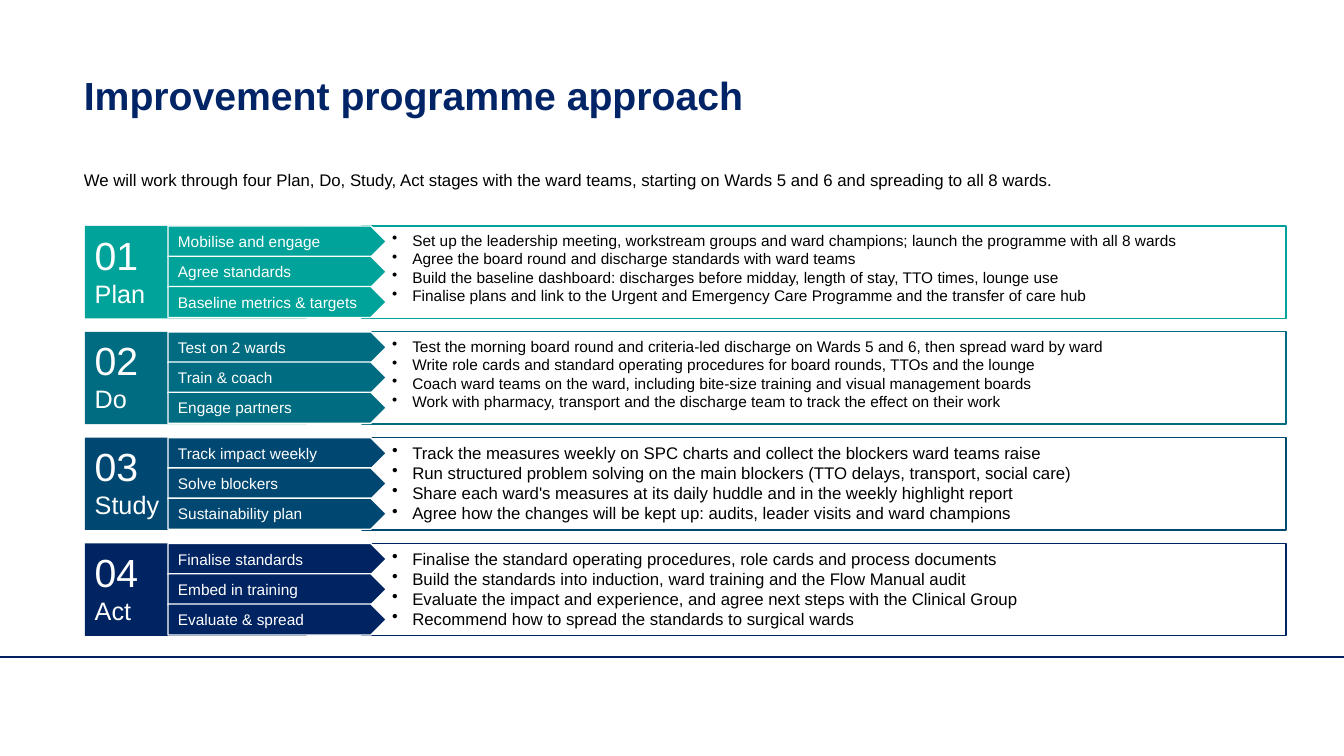
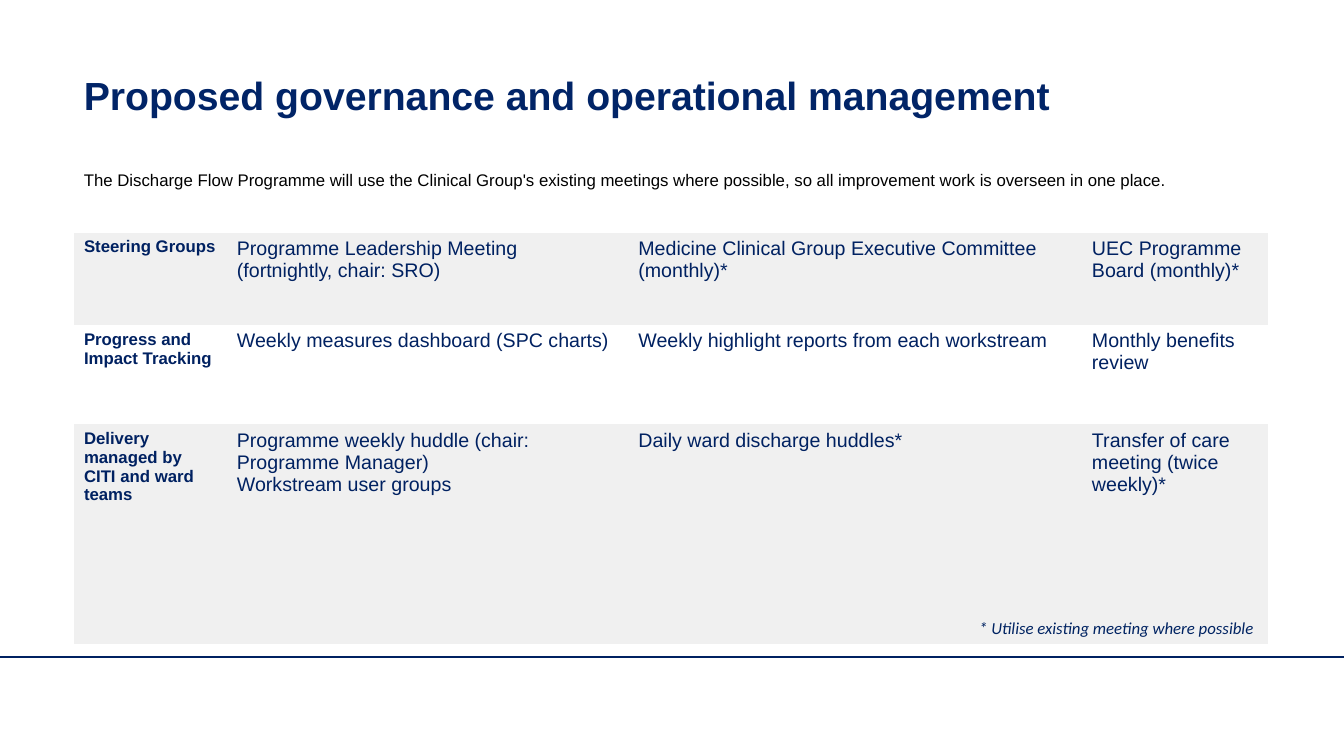
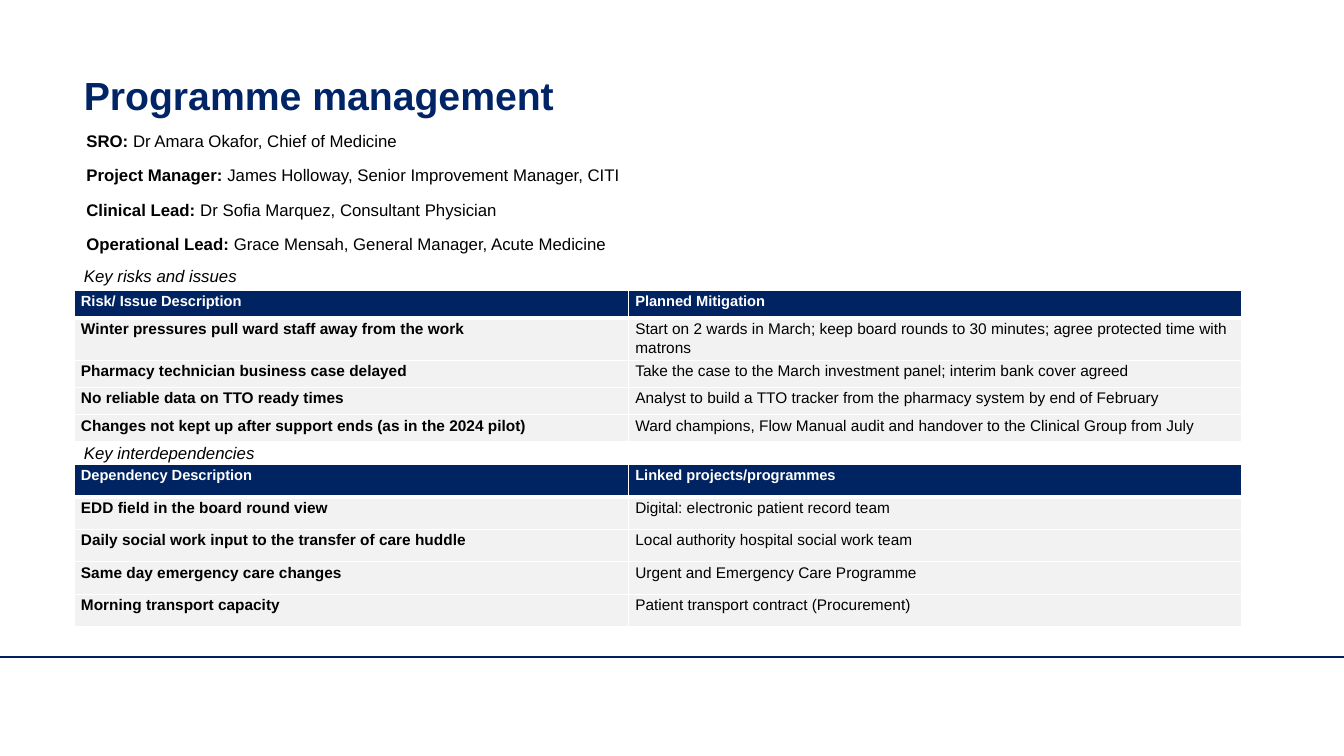
"""Three slides on a ward discharge programme: approach, governance and management."""
from lxml.etree import SubElement
from pptx import Presentation
from pptx.dml.color import RGBColor
from pptx.enum.shapes import MSO_CONNECTOR, MSO_SHAPE
from pptx.enum.text import MSO_ANCHOR, PP_ALIGN
from pptx.oxml.ns import qn
from pptx.util import Emu, Inches, Pt

unit = Inches(1) // 12
wide, high = 160, 90
left, span = 8.8, 142.2
navy, rule, ink = "002362", "002161", "012467"
white, black, mist, pale = "FFFFFF", "000000", "F0F0F0", "F2F2F2"


def paint(fill, tone):
    fill.solid()
    fill.fore_color.rgb = RGBColor.from_string(tone)


def write(frame, text, lead="", size=12, tone=black, face="Arial", bold=False,
          slant=False, gap=0, lines=None, align=PP_ALIGN.LEFT, dot=False):
    first = not frame.text
    para = frame.paragraphs[0] if first else frame.add_paragraph()
    para.alignment = align
    if lines:
        para.line_spacing = lines
    if gap:
        para.space_after = Pt(gap)
        if not first:
            para.space_before = Pt(gap)
    if dot:
        props = para._p.get_or_add_pPr()
        props.set("marL", str(Inches(0.4)))
        props.set("indent", str(Inches(-0.2)))
        SubElement(props, qn("a:buChar")).set("char", "•")
    for part, heavy in ((lead, True), (text, bold)):
        if part:
            run = para.add_run()
            run.text = part
            run.font.name, run.font.size = face, Pt(size)
            run.font.bold, run.font.italic = heavy, slant
            paint(run.font.fill, tone)


deck = Presentation()
deck.slide_width, deck.slide_height = wide * unit, high * unit

pages = []
for title in ("Improvement programme approach",
              "Proposed governance and operational management",
              "Programme management"):
    page = deck.slides.add_slide(deck.slide_layouts[6])
    pages.append(page)
    base = Emu(78.2 * unit)
    line = page.shapes.add_connector(MSO_CONNECTOR.STRAIGHT, 0, base, deck.slide_width, base)
    paint(line.line.fill, rule)
    line.line.width = Pt(1.5)
    SubElement(line.element.spPr, qn("a:effectLst"))
    area = (left, 4, span, 15.4)
    frame = page.shapes.add_textbox(*[Emu(v * unit) for v in area]).text_frame
    frame.word_wrap = True
    frame.vertical_anchor = MSO_ANCHOR.MIDDLE
    write(frame, title, size=28, tone=ink, bold=True, lines=0.9)
plan, board, team = pages

stages = [
    ("Plan", "00A399", 11,
     ["Mobilise and engage", "Agree standards", "Baseline metrics & targets"],
     ["Set up the leadership meeting, workstream groups and ward champions; launch the programme with all 8 wards",
      "Agree the board round and discharge standards with ward teams",
      "Build the baseline dashboard: discharges before midday, length of stay, TTO times, lounge use",
      "Finalise plans and link to the Urgent and Emergency Care Programme and the transfer of care hub"]),
    ("Do", "006C81", 11,
     ["Test on 2 wards", "Train & coach", "Engage partners"],
     ["Test the morning board round and criteria-led discharge on Wards 5 and 6, then spread ward by ward",
      "Write role cards and standard operating procedures for board rounds, TTOs and the lounge",
      "Coach ward teams on the ward, including bite-size training and visual management boards",
      "Work with pharmacy, transport and the discharge team to track the effect on their work"]),
    ("Study", "004871", 12,
     ["Track impact weekly", "Solve blockers", "Sustainability plan"],
     ["Track the measures weekly on SPC charts and collect the blockers ward teams raise",
      "Run structured problem solving on the main blockers (TTO delays, transport, social care)",
      "Share each ward's measures at its daily huddle and in the weekly highlight report",
      "Agree how the changes will be kept up: audits, leader visits and ward champions"]),
    ("Act", navy, 12,
     ["Finalise standards", "Embed in training", "Evaluate & spread"],
     ["Finalise the standard operating procedures, role cards and process documents",
      "Build the standards into induction, ward training and the Flow Manual audit",
      "Evaluate the impact and experience, and agree next steps with the Clinical Group",
      "Recommend how to spread the standards to surgical wards"]),
]
for i, (name, tone, size, steps, tasks) in enumerate(stages):
    top = 26.9 + 12.6 * i
    head = [(f"{i + 1:02}", dict(size=28, tone=white)), (name, dict(size=18, tone=white))]
    parts = [
        (MSO_SHAPE.RECTANGLE, (43.1, top, 110, 11), white, tone, MSO_ANCHOR.TOP,
         [(task, dict(size=size, dot=True)) for task in tasks]),
        (MSO_SHAPE.RECTANGLE, (10.1, top, 26.4, 11), tone, None, MSO_ANCHOR.TOP, head),
    ]
    for j, step in enumerate(steps):
        parts.append((MSO_SHAPE.PENTAGON, (20, top + 3.6 * j, 26, 3.7), tone, white,
                      MSO_ANCHOR.MIDDLE, [(step, dict(size=11, tone=white))]))
    for kind, area, fill, edge, hold, texts in parts:
        shape = plan.shapes.add_shape(kind, *[Emu(v * unit) for v in area])
        shape.shadow.inherit = False
        paint(shape.fill, fill)
        if edge:
            paint(shape.line.fill, edge)
            shape.line.width = Pt(1)
        else:
            shape.line.fill.background()
        shape.text_frame.word_wrap = True
        shape.text_frame.vertical_anchor = hold
        for text, style in texts:
            write(shape.text_frame, text, **style)

groups = [
    ["Steering Groups", "Programme Leadership Meeting (fortnightly, chair: SRO)",
     "Medicine Clinical Group Executive Committee (monthly)*", "UEC Programme Board (monthly)*"],
    ["Progress and Impact Tracking", "Weekly measures dashboard (SPC charts)",
     "Weekly highlight reports from each workstream", "Monthly benefits review"],
    ["Delivery\nmanaged by CITI and ward teams",
     "Programme weekly huddle (chair: Programme Manager)\nWorkstream user groups",
     "Daily ward discharge huddles*", "Transfer of care meeting (twice weekly)*"],
]
risks = [
    ["Risk/ Issue Description", "Planned Mitigation"],
    ["Winter pressures pull ward staff away from the work",
     "Start on 2 wards in March; keep board rounds to 30 minutes; agree protected time with matrons"],
    ["Pharmacy technician business case delayed",
     "Take the case to the March investment panel; interim bank cover agreed"],
    ["No reliable data on TTO ready times",
     "Analyst to build a TTO tracker from the pharmacy system by end of February"],
    ["Changes not kept up after support ends (as in the 2024 pilot)",
     "Ward champions, Flow Manual audit and handover to the Clinical Group from July"],
]
links = [
    ["Dependency Description", "Linked projects/programmes"],
    ["EDD field in the board round view", "Digital: electronic patient record team"],
    ["Daily social work input to the transfer of care huddle",
     "Local authority hospital social work team"],
    ["Same day emergency care changes", "Urgent and Emergency Care Programme"],
    ["Morning transport capacity", "Patient transport contract (Procurement)"],
]
halves = [66, 73]
tables = [
    (board, 27.7, [18.2, 47.8, 54, 22.2], [11, 11.8, 26.2], groups, False),
    (team, 34.6, halves, [3.24] * 5, risks, True),
    (team, 55.3, halves, [3.86] * 5, links, True),
]
for page, top, cols, rows, data, ruled in tables:
    area = (left, top, sum(cols), sum(rows))
    grid = page.shapes.add_table(len(rows), len(cols), *[Emu(v * unit) for v in area]).table
    grid.first_row = grid.horz_banding = False
    for col, size in zip(grid.columns, cols):
        col.width = Emu(size * unit)
    for r, (row, size) in enumerate(zip(grid.rows, rows)):
        row.height = Emu(size * unit)
        for c, cell in enumerate(row.cells):
            head = ruled and r == 0
            props = cell._tc.get_or_add_tcPr()
            for side in "LRTB":
                thick = (side, r) in (("B", 0), ("T", 1))
                edge = SubElement(props, qn("a:ln" + side))
                if ruled:
                    edge.set("w", str(Pt(3 if thick else 1)))
                    tint = SubElement(SubElement(edge, qn("a:solidFill")), qn("a:srgbClr"))
                    tint.set("val", white)
                else:
                    SubElement(edge, qn("a:noFill"))
            if ruled:
                paint(cell.fill, navy if head else pale)
                cell.margin_left = cell.margin_right = Inches(0.07)
                cell.margin_top = cell.margin_bottom = 0
                style = dict(size=10.5 if head else 11, tone=white if head else black, lines=1.15)
            else:
                paint(cell.fill, white if r % 2 else mist)
                style = dict(size=14 if c else 12, tone=rule)
            for text in data[r][c].split("\n"):
                write(cell.text_frame, text, bold=head or c == 0, **style)

leads = (left, 19.6, span, 6.8)
roles = [("SRO: ", "Dr Amara Okafor, Chief of Medicine"),
         ("Project Manager: ", "James Holloway, Senior Improvement Manager, CITI"),
         ("Clinical Lead: ", "Dr Sofia Marquez, Consultant Physician"),
         ("Operational Lead: ", "Grace Mensah, General Manager, Acute Medicine")]
loose = dict(gap=4, lines=1.15, align=PP_ALIGN.JUSTIFY)
notes = [
    (plan, leads, [("", "We will work through four Plan, Do, Study, Act stages with the ward teams, "
                    "starting on Wards 5 and 6 and spreading to all 8 wards.")], {}),
    (board, leads, [("", "The Discharge Flow Programme will use the Clinical Group's existing meetings "
                     "where possible, so all improvement work is overseen in one place.")], {}),
    (board, (115.4, 73, 35.5, 3.6), [("", "* Utilise existing meeting where possible")],
     dict(face="Calibri", tone=navy, slant=True)),
    (team, (9.1, 14.6, 80, 16.2), roles, loose),
    (team, (left, 30.7, 80, 3.7), [("", "Key risks and issues")], dict(loose, slant=True)),
    (team, (left, 51.7, 80, 3.7), [("", "Key interdependencies")], dict(loose, slant=True)),
]
for page, area, texts, style in notes:
    frame = page.shapes.add_textbox(*[Emu(v * unit) for v in area]).text_frame
    frame.word_wrap = True
    for lead, text in texts:
        write(frame, text, lead=lead, **style)

deck.save("out.pptx")
